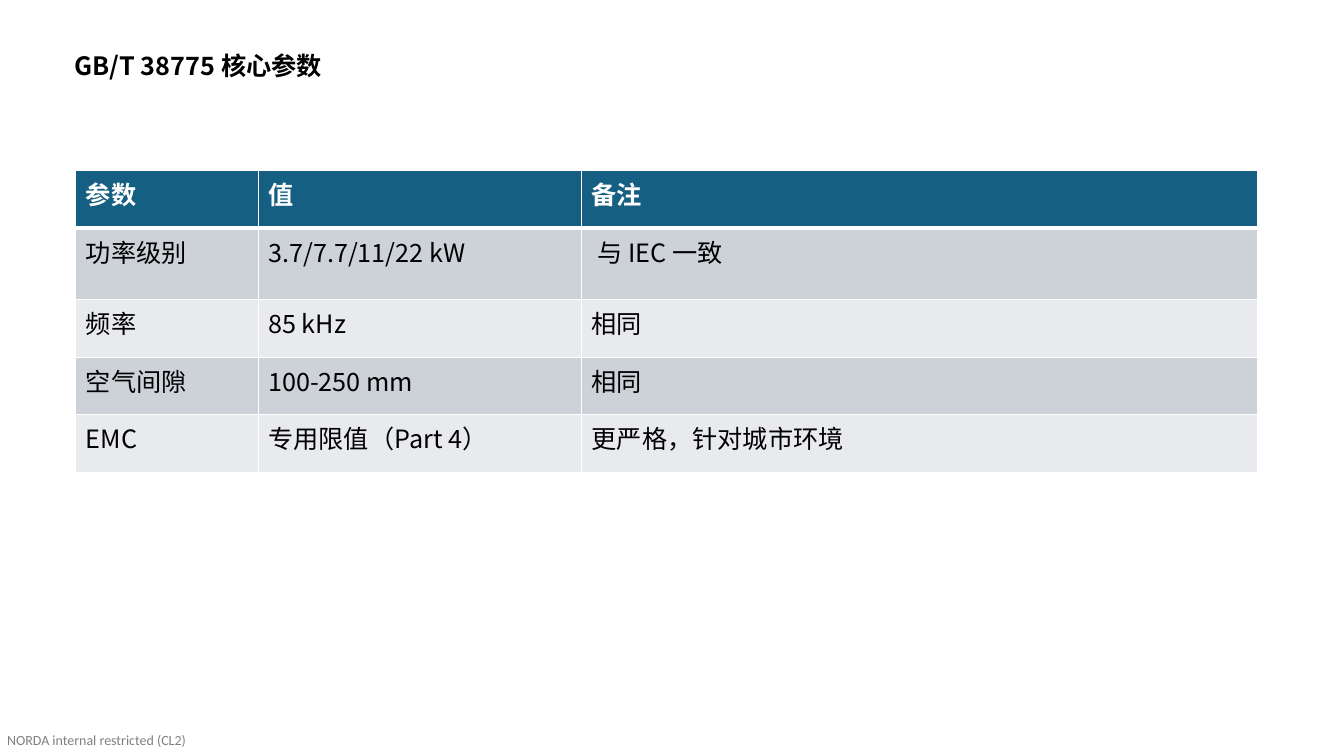
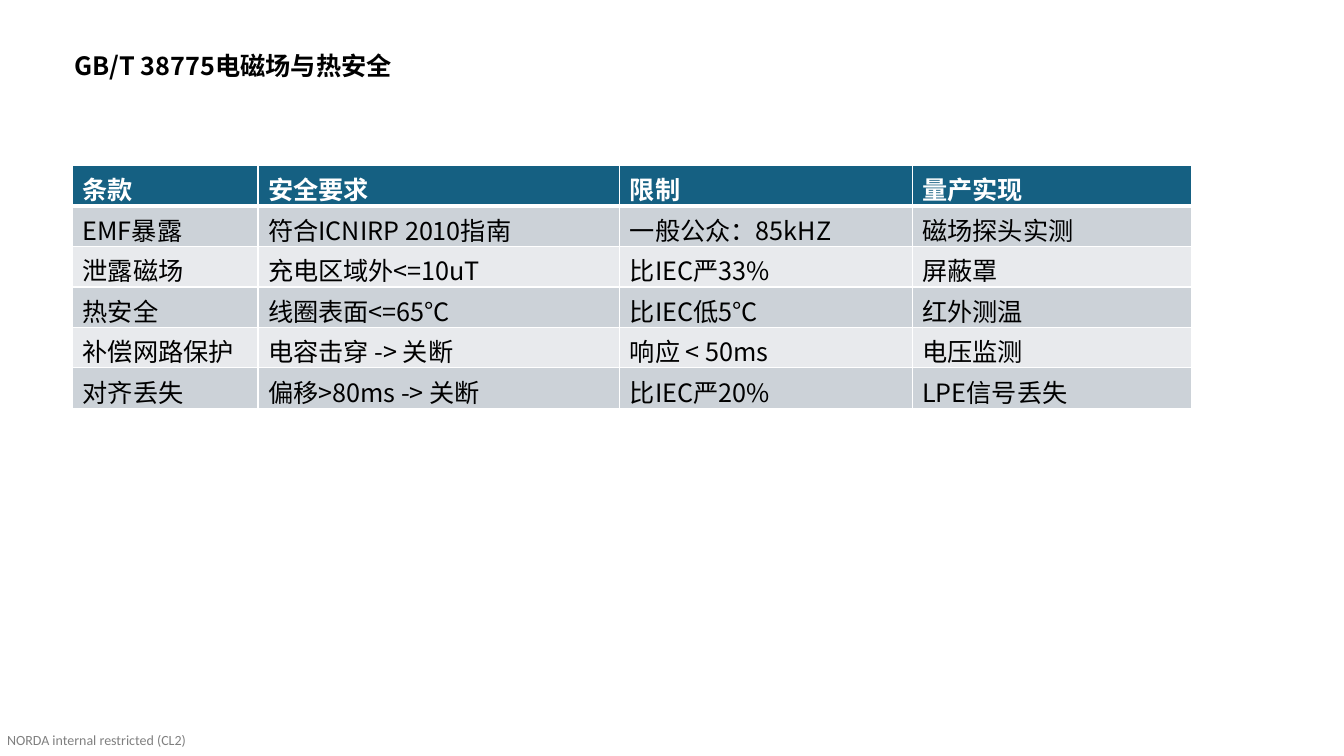
from lxml import etree
from pptx import Presentation
from pptx import util as u
from pptx.dml.color import RGBColor
from pptx.enum import text
from pptx.oxml import ns

BODY_FONT = "Noto Sans CJK SC"
FOOTER_FONT = "Calibri"
BLACK, WHITE = "000000", "FFFFFF"
HEADER_FILL = "156082"
BAND_FILLS = ("CCD2D8", "E8EAED")
TEXT_SIZE = 18
FOOTER_TEXT = "NORDA internal restricted (CL2)"


def color(value):
    return RGBColor.from_string(value)


def add_child(parent, tag, **attributes):
    return etree.SubElement(parent, ns.qn(tag), attributes)


def add_span(para, words, size=TEXT_SIZE, font=BODY_FONT, ink=BLACK, bold=False):
    span = para.add_run()
    span.text = words
    span.font.size = u.Pt(size)
    span.font.name = font
    span.font.bold = bold
    span.font.color.rgb = color(ink)
    add_child(span._r.get_or_add_rPr(), "a:ea", typeface=font)
    return span


def add_box(page, left, top, width, height):
    box = page.shapes.add_textbox(u.Cm(left), u.Cm(top), u.Cm(width), u.Cm(height))
    box.text_frame.word_wrap = True
    return box.text_frame


def add_title(page, words, width):
    frame = add_box(page, 1.63, 1.22, width, 1.02)
    para = frame.paragraphs[0]
    para.line_spacing = 0.9
    add_span(para, words, bold=True)


def add_footer(page):
    frame = add_box(page, 0.18, 18.44, 4.6, 0.43)
    frame.margin_left = frame.margin_top = frame.margin_right = frame.margin_bottom = 0
    frame.vertical_anchor = text.MSO_ANCHOR.TOP
    span = add_span(frame.paragraphs[0], FOOTER_TEXT, 10, FOOTER_FONT)
    tint = span._r.rPr.find(ns.qn("a:solidFill"))[0]
    add_child(tint, "a:alpha", val="50000")


def set_borders(cell, bottom_width, top_width):
    """Draw white borders; they must precede the fill in the cell properties."""
    properties = cell._tc.get_or_add_tcPr()
    widths = {"a:lnL": 1, "a:lnR": 1, "a:lnT": top_width, "a:lnB": bottom_width}
    for tag, width in widths.items():
        line = add_child(properties, tag, w=str(u.Pt(width)))
        add_child(add_child(line, "a:solidFill"), "a:srgbClr", val=WHITE)


def add_table(page, left, top, column_widths, row_heights, rows):
    frame = page.shapes.add_table(
        len(rows), len(column_widths), u.Cm(left), u.Cm(top),
        u.Cm(sum(column_widths)), u.Cm(sum(row_heights)))
    table = frame.table
    for column, width in zip(table.columns, column_widths):
        column.width = u.Cm(width)
    for index, (height, row) in enumerate(zip(row_heights, rows)):
        table.rows[index].height = u.Cm(height)
        header = index == 0
        fill = HEADER_FILL if header else BAND_FILLS[(index - 1) % 2]
        for position, words in enumerate(row):
            cell = table.cell(index, position)
            set_borders(cell, 3 if header else 1, 3 if index == 1 else 1)
            cell.fill.solid()
            cell.fill.fore_color.rgb = color(fill)
            add_span(cell.text_frame.paragraphs[0], words,
                     ink=WHITE if header else BLACK, bold=header)


def add_page(deck, title, title_width):
    page = deck.slides.add_slide(deck.slide_layouts[6])
    add_footer(page)
    add_title(page, title, title_width)
    return page


def main():
    deck = Presentation()
    deck.slide_width, deck.slide_height = u.Cm(33.87), u.Cm(19.05)

    page = add_page(deck, "GB/T 38775 核心参数", 6.86)
    add_table(page, 1.91, 4.3, (4.6, 8.15, 17.04), (1.45, 1.8, 1.45, 1.45, 1.45), [
        ("参数", "值", "备注"),
        ("功率级别", "3.7/7.7/11/22 kW", " 与 IEC 一致"),
        ("频率", "85 kHz", "相同"),
        ("空气间隙", "100-250 mm", "相同"),
        ("EMC", "专用限值（Part 4）", "更严格，针对城市环境"),
    ])

    page = add_page(deck, "GB/T 38775电磁场与热安全", 22.25)
    rows = [
        ("条款", "安全要求", "限制", "量产实现"),
        ("EMF暴露", "符合ICNIRP 2010指南", "一般公众：85kHZ", "磁场探头实测"),
        ("泄露磁场", "充电区域外<=10uT", "比IEC严33%", "屏蔽罩"),
        ("热安全", "线圈表面<=65°C", "比IEC低5°C", "红外测温"),
        ("补偿网路保护", "电容击穿 -> 关断", "响应 < 50ms", "电压监测"),
        ("对齐丢失", "偏移>80ms -> 关断", "比IEC严20%", "LPE信号丢失"),
    ]
    add_table(page, 1.83, 4.17, (4.67, 9.12, 7.37, 7.04), [1.02] * len(rows), rows)

    deck.save("out.pptx")


if __name__ == "__main__":
    main()
